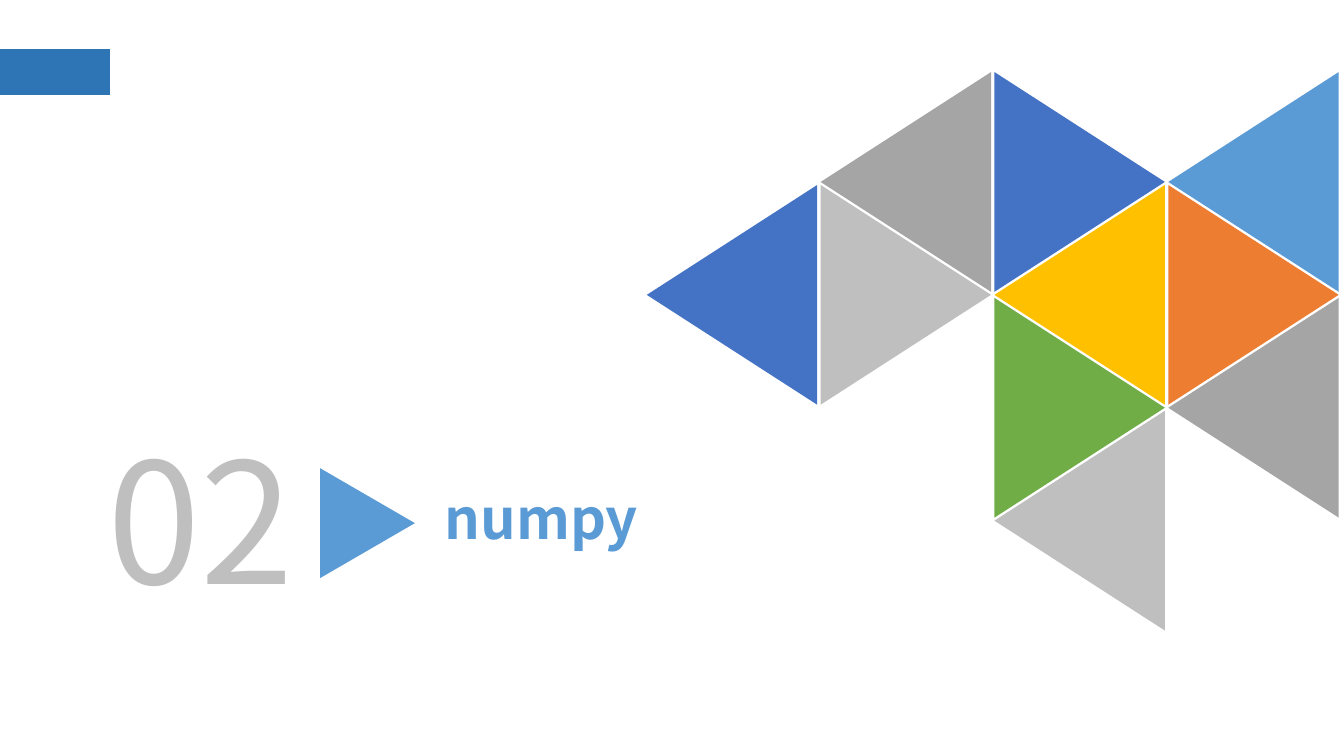
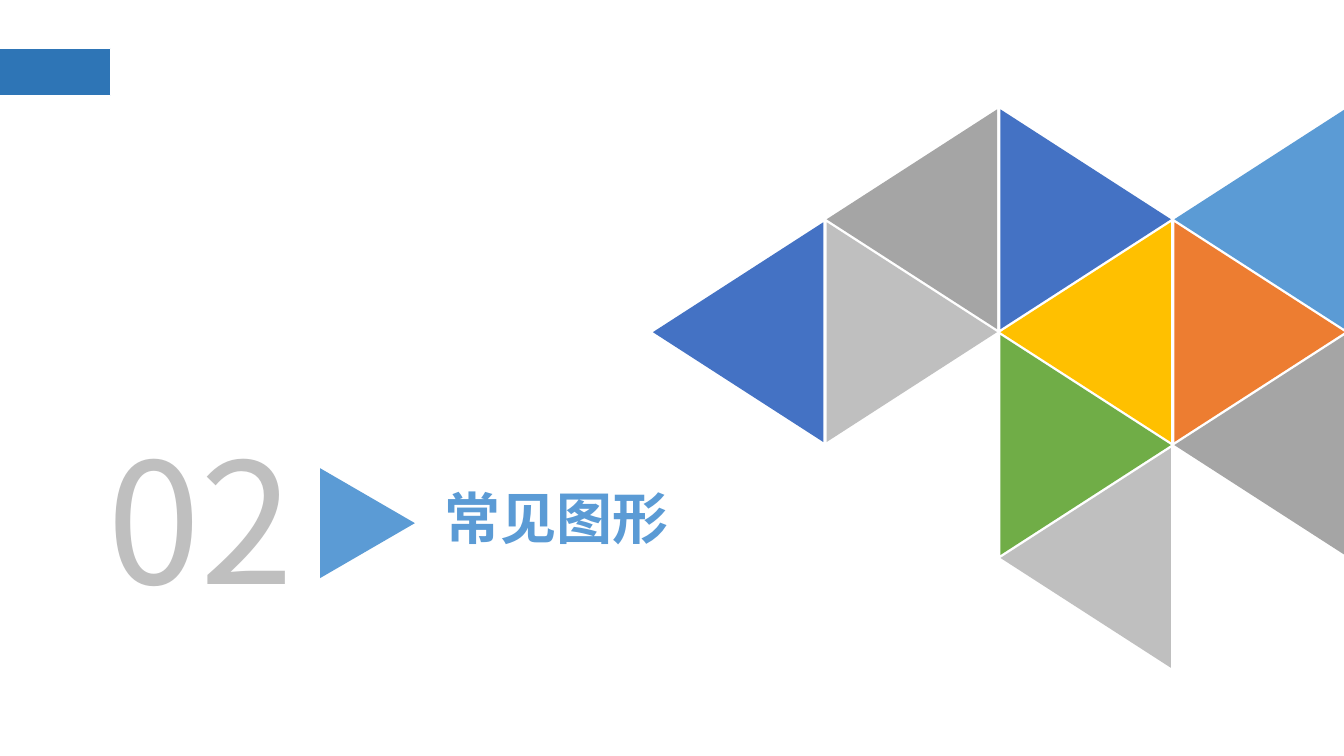
import pptx
import pptx.util
import pptx.dml.color
import pptx.enum.shapes
import pptx.enum.text
import pptx.oxml.ns
import lxml.etree

RGB = pptx.dml.color.RGBColor
KIND = pptx.enum.shapes.MSO_SHAPE
ALIGN = pptx.enum.text.PP_ALIGN

WHITE = RGB(0xFF, 0xFF, 0xFF)
NAVY = RGB(0x2E, 0x75, 0xB6)
SKY = RGB(0x5B, 0x9B, 0xD5)
BLUE = RGB(0x44, 0x72, 0xC4)
ORANGE = RGB(0xED, 0x7D, 0x31)
GOLD = RGB(0xFF, 0xC0, 0x00)
GREEN = RGB(0x70, 0xAD, 0x47)
GREY = RGB(0xA5, 0xA5, 0xA5)
SILVER = RGB(0xBF, 0xBF, 0xBF)

FONT = "Noto Sans CJK SC"
SCALE = 9144
LEFT, RIGHT = 270, 90
TILE = (218, 169)
STEP = (172.4, 112)
TILES = [
    (3, 0, LEFT, SKY), (3, 1, RIGHT, ORANGE), (3, 2, LEFT, GREY),
    (2, 0, RIGHT, BLUE), (2, 1, LEFT, GOLD), (2, 2, RIGHT, GREEN),
    (1, 0, LEFT, GREY), (2, 3, LEFT, SILVER), (1, 1, RIGHT, SILVER),
    (0, 1, LEFT, BLUE),
]
PAGES = [("02", "numpy", (617, 96)), ("02", "常见图形", (623, 133))]


def px(num):
    """Turn px into EMU."""
    return pptx.util.Emu(round(num * SCALE))


def shape(host, kind, box, fill, turn=0):
    """Add a flat preset shape without an outline."""
    item = host.add_shape(kind, *map(px, box))
    item.shadow.inherit = False
    item.fill.solid()
    item.fill.fore_color.rgb = fill
    item.line.fill.background()
    item.rotation = turn
    return item


def write(item, text, size, color, bold=False, align=ALIGN.LEFT):
    """Fill a text holder with one formatted line."""
    frame = item.text_frame
    frame.word_wrap = True
    frame.auto_size = pptx.enum.text.MSO_AUTO_SIZE.NONE
    frame.vertical_anchor = pptx.enum.text.MSO_ANCHOR.MIDDLE
    para = frame.paragraphs[0]
    para.alignment = align
    run = para.add_run()
    run.text = text
    font = run.font
    font.name, font.size, font.bold = FONT, pptx.util.Pt(size), bold
    font.color.rgb = color
    for props in item.element.findall(".//" + pptx.oxml.ns.qn("a:rPr")):
        east = lxml.etree.SubElement(props, pptx.oxml.ns.qn("a:ea"))
        east.set("typeface", FONT)


def band(slide):
    """Put the corner band on the layout that the slides share."""
    item = shape(slide.shapes, KIND.RECTANGLE, (0, 48, 110, 47), NAVY)
    item.line.color.rgb = WHITE
    item.line.width = pptx.util.Pt(0.75)
    item.element.nvSpPr.cNvPr.set("id", "20")
    tree = slide.slide_layout.placeholders[0].element.getparent()
    tree.insert(2, item.element)


def mosaic(slide, left, top):
    """Group the triangle tiles from a given corner."""
    group = slide.shapes.add_group_shape()
    for col, row, turn, fill in TILES:
        box = (left + col * STEP[0], top + row * STEP[1], *TILE)
        shape(group.shapes, KIND.ISOSCELES_TRIANGLE, box, fill, turn)


def heading(slide, num, name, left, top):
    """Place the number, the pointer and the title."""
    title = slide.shapes.title
    title.left, title.top = px(left + 382), px(top + 80)
    title.width, title.height = px(473), px(100)
    write(title, name, 40, SKY, bold=True)
    label = slide.shapes.add_textbox(*map(px, (left, top, 300, 260)))
    write(label, num, 120, SILVER, align=ALIGN.CENTER)
    box = (left + 261, top + 89, 109, 94)
    shape(slide.shapes, KIND.ISOSCELES_TRIANGLE, box, SKY, RIGHT)


def main():
    """Build the section slides and save them."""
    deck = pptx.Presentation()
    deck.slide_width, deck.slide_height = px(1333), px(750)
    for num, name, spot in PAGES:
        slide = deck.slides.add_slide(deck.slide_layouts[5])
        mosaic(slide, *spot)
        heading(slide, num, name, 49, 383)
    band(deck.slides[0])
    deck.save("out.pptx")


if __name__ == "__main__":
    main()
